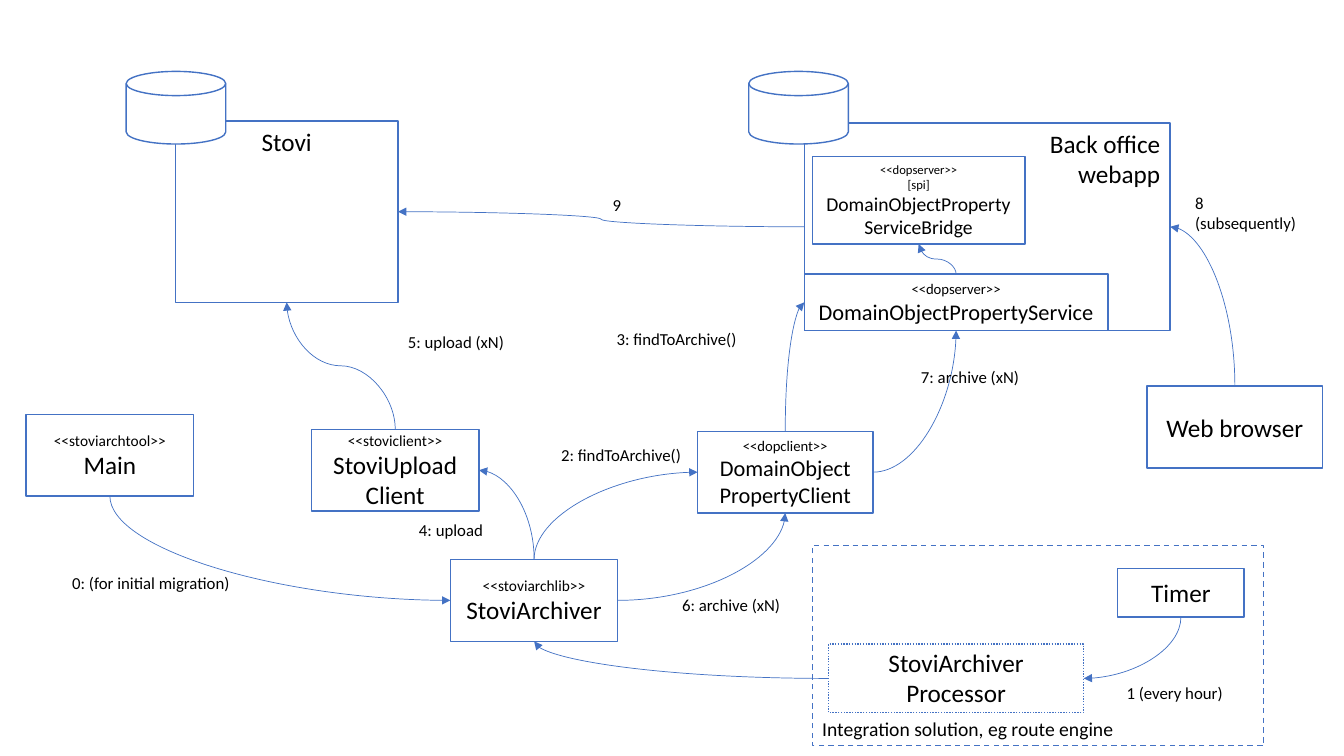
from lxml.etree import SubElement
from pptx import Presentation
from pptx.dml.color import RGBColor as RGB
from pptx.enum.dml import MSO_LINE as DASH
from pptx.enum.shapes import MSO_CONNECTOR as LINK, MSO_SHAPE as FORM
from pptx.enum.text import MSO_ANCHOR as ANCHOR, MSO_AUTO_SIZE as AUTO, PP_ALIGN as ALIGN
from pptx.oxml.ns import qn
from pptx.util import Cm, Pt

HUES = {"line": "4472C4", "fill": "FFFFFF", "text": "000000"}
TOP, LEFT, BASE, RIGHT = range(4)  # connection sites of a box


def hue(name):
    return RGB.from_string(HUES[name])


def write(frame, text, size=18, tag=None, small=11, align=ALIGN.CENTER,
          anchor=ANCHOR.MIDDLE, wrap=True):
    """Fill a frame, one paragraph a line, with smaller tag lines on top."""
    frame.word_wrap = wrap
    frame.vertical_anchor = anchor
    tags = tag.split("\n") if tag else []
    rows = [(t, small) for t in tags] + [(t, size) for t in text.split("\n")]
    for i, (row, pts) in enumerate(rows):
        para = frame.paragraphs[0] if i == 0 else frame.add_paragraph()
        para.alignment = align
        run = para.add_run()
        run.text = row
        run.font.name = "Calibri"
        run.font.size = Pt(pts)
        run.font.color.rgb = hue("text")


class Sketch:
    def __init__(self, slide, edge=1, thin=0.5):
        self.slide, self.edge, self.thin = slide, edge, thin

    def stroke(self, item, width):
        item.line.color.rgb = hue("line")
        item.line.width = Pt(width)

    def box(self, x, y, w, h, text=None, form=FORM.RECTANGLE, dash=None, **style):
        item = self.slide.shapes.add_shape(form, Cm(x), Cm(y), Cm(w), Cm(h))
        item.shadow.inherit = False
        item.fill.solid()
        item.fill.fore_color.rgb = hue("fill")
        self.stroke(item, self.edge)
        if dash:
            item.line.dash_style = dash
        if text:
            write(item.text_frame, text, **style)
        return item

    def disk(self, x, y):
        return self.box(x, y, 2.51, 1.83, form=FORM.FLOWCHART_MAGNETIC_DISK)

    def label(self, x, y, w, text):
        high = 0.76 + 0.51 * text.count("\n")
        item = self.slide.shapes.add_textbox(Cm(x), Cm(y), Cm(w), Cm(high))
        write(item.text_frame, text, size=12, align=ALIGN.LEFT,
              anchor=ANCHOR.TOP, wrap=False)
        item.text_frame.auto_size = AUTO.SHAPE_TO_FIT_TEXT

    def link(self, a, out, b, into):
        """Curved arrow from site `out` of box a to site `into` of box b."""
        item = self.slide.shapes.add_connector(LINK.CURVE, 0, 0, 0, 0)
        item.begin_connect(a, out)
        item.end_connect(b, into)
        self.stroke(item, self.thin)
        dx = item.end_x - item.begin_x
        dy = item.end_y - item.begin_y
        mid_x = (item.begin_x + item.end_x) // 2
        mid_y = (item.begin_y + item.end_y) // 2
        wide, high = abs(dx), abs(dy)

        # A curve that leaves a top or base is a turned horizontal one
        if out in (TOP, BASE):
            wide, high = high, wide
            if dx * dy > 0:
                turn, flip_h, flip_v = 270, dy > 0, dx < 0
            else:
                turn, flip_h, flip_v = 90, dy < 0, dx > 0
        elif dx < 0 and dy < 0:
            turn, flip_h, flip_v = 180, False, False
        else:
            turn, flip_h, flip_v = 0, dx < 0, dy < 0
        item.left, item.top = mid_x - wide // 2, mid_y - high // 2
        item.width, item.height = wide, high

        props = item._element.spPr
        frame = props.find(qn("a:xfrm"))
        frame.set("rot", str(turn * 60000))
        frame.set("flipH", str(int(flip_h)))
        frame.set("flipV", str(int(flip_v)))
        bends = 3 if out % 2 == into % 2 else 2
        props.find(qn("a:prstGeom")).set("prst", f"curvedConnector{bends}")
        SubElement(props.find(qn("a:ln")), qn("a:tailEnd"), type="triangle")
        SubElement(props, qn("a:effectLst"))


deck = Presentation()
deck.slide_width, deck.slide_height = Cm(33.87), Cm(19.05)
art = Sketch(deck.slides.add_slide(deck.slide_layouts[6]))

# Timed integration
art.box(20.47, 13.74, 11.38, 5.05, "Integration solution, eg route engine", size=14,
        dash=DASH.DASH, align=ALIGN.LEFT, anchor=ANCHOR.BOTTOM)
proc = art.box(20.88, 16.23, 6.43, 1.73, "StoviArchiver\nProcessor",
               dash=DASH.ROUND_DOT, anchor=ANCHOR.BOTTOM)
timer = art.box(28.17, 14.33, 3.18, 1.22, "Timer")

# Object store and web application
store = art.box(4.42, 3.05, 5.61, 4.57, "Stovi", anchor=ANCHOR.TOP)
app = art.box(20.27, 3.1, 9.22, 5.23, "Back office\nwebapp",
              align=ALIGN.RIGHT, anchor=ANCHOR.TOP)
art.disk(3.18, 1.8)
art.disk(18.87, 1.8)
serve = art.box(20.27, 6.91, 7.65, 1.42, "DomainObjectPropertyService",
                size=16, tag="<<dopserver>>", small=10.5)
bridge = art.box(20.47, 3.94, 5.36, 2.21, "DomainObjectProperty\nServiceBridge",
                 size=14, tag="<<dopserver>>\n[spi]", small=9)

# Clients and tools
arch = art.box(11.35, 14.1, 4.22, 2.06, "StoviArchiver", tag="<<stoviarchlib>>")
load = art.box(7.85, 10.82, 4.22, 2.06, "StoviUpload Client", tag="<<stoviclient>>")
dop = art.box(17.58, 10.87, 4.42, 2.06, "DomainObject\nPropertyClient",
              size=16, tag="<<dopclient>>", small=10.5)
web = art.box(28.91, 9.73, 4.42, 2.06, "Web browser")
main = art.box(0.66, 10.44, 4.22, 2.06, "Main", tag="<<stoviarchtool>>")

# Calls
for call in [
    (main, BASE, arch, LEFT),
    (timer, BASE, proc, RIGHT),
    (proc, LEFT, arch, BASE),
    (arch, TOP, dop, LEFT),
    (dop, TOP, serve, LEFT),
    (arch, TOP, load, RIGHT),
    (load, TOP, store, BASE),
    (arch, RIGHT, dop, BASE),
    (dop, RIGHT, serve, BASE),
    (serve, TOP, bridge, BASE),
    (web, TOP, app, RIGHT),
    (app, LEFT, store, RIGHT),
]:
    art.link(*call)

# Call labels
for note in [
    (1.57, 14.3, 4.52, "0: (for initial migration)"),
    (28.14, 17.09, 2.95, "1 (every hour)"),
    (13.89, 11.07, 3.56, "2: findToArchive()"),
    (15.29, 8.15, 3.56, "3: findToArchive()"),
    (10.31, 12.98, 2.13, "4: upload"),
    (10.03, 8.23, 2.95, "5: upload (xN)"),
    (16.94, 14.86, 3.02, "6: archive (xN)"),
    (22.96, 9.12, 3.02, "7: archive (xN)"),
    (29.87, 4.72, 3.07, "8\n(subsequently)"),
    (15.19, 4.78, 0.74, "9"),
]:
    art.label(*note)

deck.save("out.pptx")
